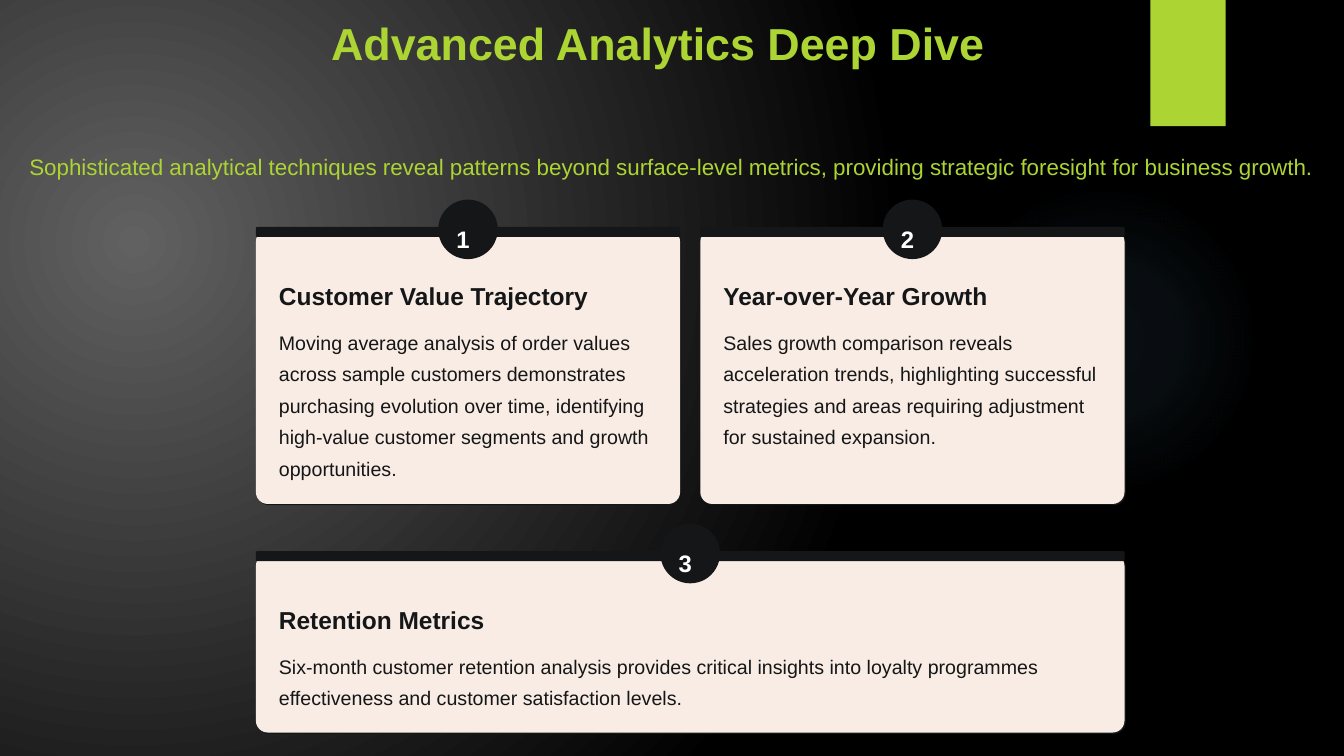
from dataclasses import dataclass

from lxml import etree
from pptx import Presentation
from pptx.dml.color import RGBColor
from pptx.enum.shapes import MSO_SHAPE
from pptx.enum.text import MSO_ANCHOR, MSO_AUTO_SIZE, PP_ALIGN
from pptx.oxml.ns import qn
from pptx.util import Cm, Pt

RECTANGLE = MSO_SHAPE.RECTANGLE
ROUNDED = MSO_SHAPE.ROUNDED_RECTANGLE
OVAL = MSO_SHAPE.OVAL
TOP = MSO_ANCHOR.TOP
NO_FIT = MSO_AUTO_SIZE.NONE
LEFT, CENTER = PP_ALIGN.LEFT, PP_ALIGN.CENTER
TITLE_ONLY = 5


@dataclass(frozen=True)
class TextStyle:
    size: float
    color: str
    spacing: float
    bold: bool = False
    align: PP_ALIGN = LEFT
    wrap: bool = False


@dataclass(frozen=True)
class Theme:
    font: str = "Arial"
    accent: str = "ACD433"
    ink: str = "151617"
    card: str = "F8ECE4"
    title: TextStyle = TextStyle(32, "ACD433", 44, bold=True, align=CENTER)
    intro: TextStyle = TextStyle(16, "ACD433", 22.5, wrap=True)
    number: TextStyle = TextStyle(17, "FFFFFF", 27, bold=True)
    heading: TextStyle = TextStyle(17.5, "151617", 22, bold=True)
    body: TextStyle = TextStyle(14, "151617", 22.5, wrap=True)
    backdrop: tuple = ((0, "616161", 100), (100, "000000", 100))
    glow: tuple = ((0, "7AC4F0", 7), (36, "7AC4F0", 6), (69, "7AC4F0", 0))


def set_all(target, values):
    for name, value in values.items():
        setattr(target, name, value)


def add_color(parent, color, alpha):
    node = etree.SubElement(parent, qn("a:srgbClr"), val=color)
    if alpha < 100:
        etree.SubElement(node, qn("a:alpha"), val=str(alpha * 1000))


def make_radial(gradient, stops, focus):
    for child in list(gradient):
        gradient.remove(child)
    stop_list = etree.SubElement(gradient, qn("a:gsLst"))
    for position, color, alpha in stops:
        stop = etree.SubElement(stop_list, qn("a:gs"), pos=str(position * 1000))
        add_color(stop, color, alpha)
    circle = etree.SubElement(gradient, qn("a:path"), {"path": "circle"})
    edges = {side: str(value * 1000) for side, value in zip("ltrb", focus)}
    etree.SubElement(circle, qn("a:fillToRect"), edges)


class SlideBuilder:
    def __init__(self, page, theme):
        self.page = page
        self.theme = theme

    def background(self, stops, focus):
        self.page.background.fill.gradient()
        make_radial(self.page.element.find(".//" + qn("a:gradFill")), stops, focus)

    def shape(self, kind, bounds, color, radius=None):
        shape = self.page.shapes.add_shape(kind, *map(Cm, bounds))
        shape.shadow.inherit = False
        shape.line.fill.background()
        shape.fill.solid()
        shape.fill.fore_color.rgb = RGBColor.from_string(color)
        if radius is not None:
            shape.adjustments[0] = radius / min(bounds[2:])
        return shape

    def glow(self, bounds):
        shape = self.shape(OVAL, bounds, self.theme.accent)
        shape.fill.gradient()
        gradient = shape.element.spPr.find(qn("a:gradFill"))
        make_radial(gradient, self.theme.glow, (50, 50, 50, 50))

    def shadow(self, shape, color, alpha, blur, distance, angle):
        effects = shape.element.spPr.find(qn("a:effectLst"))
        outer = etree.SubElement(effects, qn("a:outerShdw"), {
            "blurRad": str(Pt(blur)), "dist": str(Pt(distance)),
            "dir": str(angle * 60000), "algn": "tl", "rotWithShape": "0"})
        add_color(outer, color, alpha)

    def fill_box(self, box, bounds, text, style):
        set_all(box, dict(zip(("left", "top", "width", "height"), map(Cm, bounds))))
        frame = box.text_frame
        set_all(frame, {
            "margin_left": 0, "margin_top": 0, "margin_right": 0, "margin_bottom": 0,
            "auto_size": NO_FIT, "word_wrap": style.wrap, "vertical_anchor": TOP})
        para = frame.paragraphs[0]
        set_all(para, {"alignment": style.align, "line_spacing": Pt(style.spacing),
                       "space_before": Pt(0)})
        span = para.add_run()
        span.text = text
        set_all(span.font, {"name": self.theme.font, "size": Pt(style.size),
                            "bold": style.bold})
        span.font.color.rgb = RGBColor.from_string(style.color)

    def title(self, bounds, text):
        self.fill_box(self.page.shapes.title, bounds, text, self.theme.title)

    def text(self, bounds, text, style):
        box = self.page.shapes.add_textbox(*map(Cm, bounds))
        self.fill_box(box, bounds, text, style)

    def card(self, bounds, number, heading, body):
        left, top, width, height = bounds
        theme = self.theme
        badge = 1.5
        badge_left = left + (width - badge) / 2
        inner_left, inner_width = left + 0.58, width - 1.12
        panel = self.shape(ROUNDED, (left, top + 0.07, width, height), theme.card, 0.3)
        self.shadow(panel, theme.ink, 100, 0, 1.3, 45)
        self.shape(ROUNDED, (left, top, width, 0.25), theme.ink, 0.03)
        self.shape(OVAL, (badge_left, top - 0.69, badge, badge), theme.ink)
        self.text((badge_left + 0.46, top - 0.3, 0.6, 0.76), str(number), theme.number)
        self.text((inner_left, top + 1.32, inner_width, 0.79), heading, theme.heading)
        self.text((inner_left, top + 2.41, inner_width, height - 2.9), body, theme.body)


def main():
    deck = Presentation()
    deck.slide_width, deck.slide_height = Cm(33.87), Cm(19.05)
    page = deck.slides.add_slide(deck.slide_layouts[TITLE_ONLY])
    theme = Theme()
    builder = SlideBuilder(page, theme)

    builder.background(theme.backdrop, (45, 65, 125, 100))
    builder.glow((23.9, 4.65, 7.82, 7.82))
    tab = builder.shape(RECTANGLE, (28.99, 0, 1.9, 3.18), theme.accent)
    builder.shadow(tab, "000000", 45, 3, 2, 90)
    builder.title((6.12, 0.2, 20.93, 1.57), "Advanced Analytics Deep Dive")
    builder.text(
        (0.74, 3.73, 33.12, 1.6),
        "Sophisticated analytical techniques reveal patterns beyond surface-level "
        "metrics, providing strategic foresight for business growth.",
        theme.intro)

    left, width, gap = 6.45, 10.69, 0.51
    upper, lower = 5.72, 13.89
    cards = [
        ((left, upper, width, 6.91), "Customer Value Trajectory",
         "Moving average analysis of order values across sample customers "
         "demonstrates purchasing evolution over time, identifying high-value "
         "customer segments and growth opportunities."),
        ((left + width + gap, upper, width, 6.91), "Year-over-Year Growth",
         "Sales growth comparison reveals acceleration trends, highlighting "
         "successful strategies and areas requiring adjustment for sustained "
         "expansion."),
        ((left, lower, 2 * width + gap, 4.5), "Retention Metrics",
         "Six-month customer retention analysis provides critical insights into "
         "loyalty programmes effectiveness and customer satisfaction levels."),
    ]
    for number, (bounds, heading, body) in enumerate(cards, start=1):
        builder.card(bounds, number, heading, body)

    deck.save("out.pptx")


if __name__ == "__main__":
    main()
